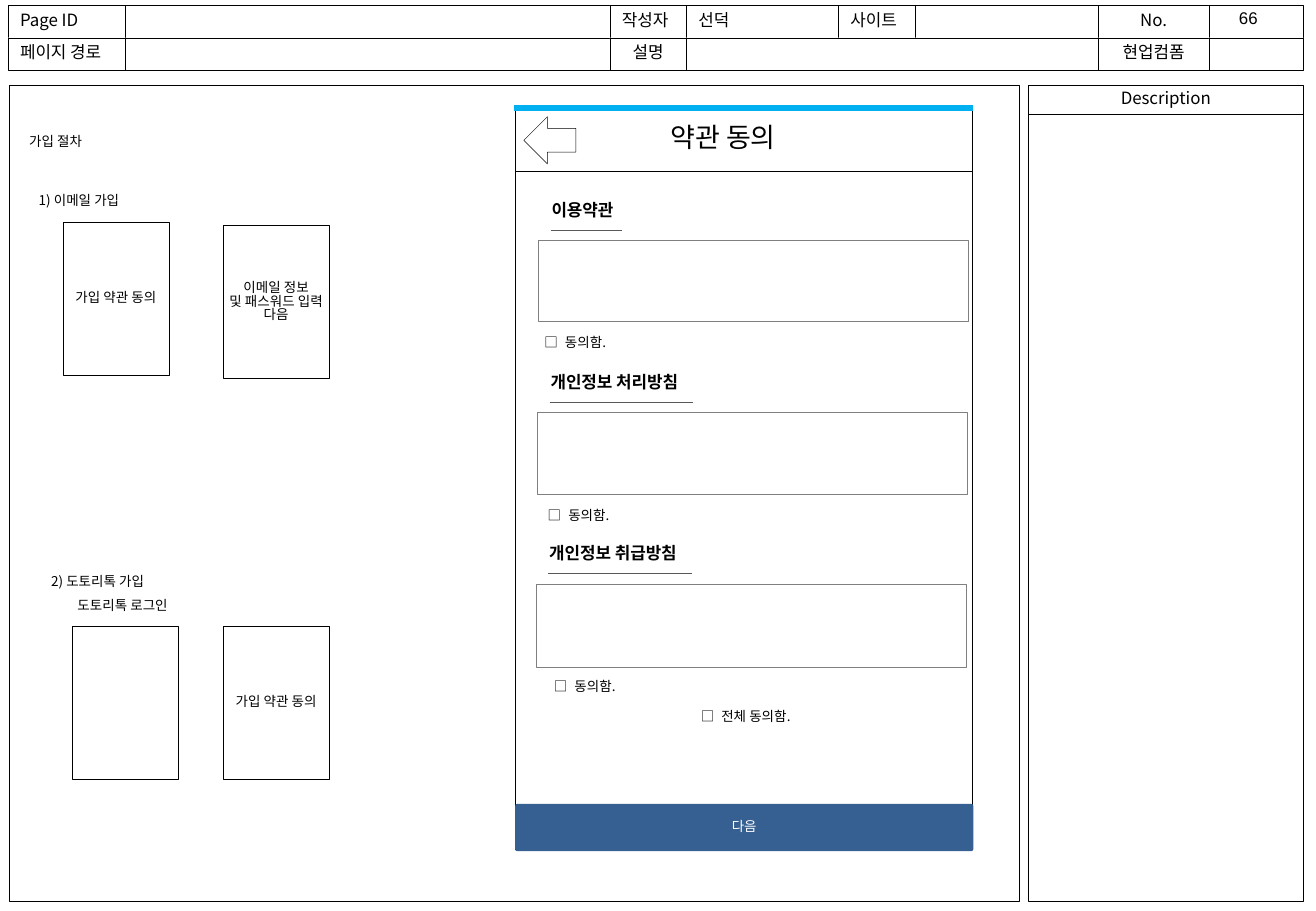
import pptx
import pptx.dml.color
import pptx.enum.shapes
import pptx.enum.text
import pptx.oxml.ns
import pptx.util
from lxml import etree

Cm = pptx.util.Cm
Pt = pptx.util.Pt
RGBColor = pptx.dml.color.RGBColor
Shape = pptx.enum.shapes.MSO_SHAPE
Align = pptx.enum.text.PP_ALIGN
Anchor = pptx.enum.text.MSO_ANCHOR

BLACK = RGBColor(0x00, 0x00, 0x00)
WHITE = RGBColor(0xFF, 0xFF, 0xFF)
GREY = RGBColor(0x80, 0x80, 0x80)
DARK_GREY = RGBColor(0x59, 0x59, 0x59)
SKY = RGBColor(0x00, 0xB0, 0xF0)
NAVY = RGBColor(0x37, 0x60, 0x92)


class Wireframe:
    """Holds the text style and the current page; lengths are centimetres."""

    font_name = "Noto Sans CJK KR"
    line_spacing = 0.82

    def __init__(self, page):
        self.page = page

    def fill_text(self, box, text, align, anchor, color=BLACK, side=0.25,
                  tab=None, name=font_name, **font_values):
        frame = box.text_frame
        frame_values = {
            "word_wrap": True, "vertical_anchor": anchor,
            "margin_left": Cm(side), "margin_right": Cm(side),
            "margin_top": Cm(0.13), "margin_bottom": Cm(0.13),
        }
        for key, value in frame_values.items():
            setattr(frame, key, value)
        for index, line in enumerate(text.split("\n")):
            para = frame.add_paragraph() if index else frame.paragraphs[0]
            para.alignment = align
            para.line_spacing = self.line_spacing
            if tab:
                tabs = etree.SubElement(para._p.get_or_add_pPr(),
                                        pptx.oxml.ns.qn("a:tabLst"))
                etree.SubElement(tabs, pptx.oxml.ns.qn("a:tab"),
                                 pos=str(Cm(tab)), algn="l")
            span = para.add_run()
            span.text = line
            for key, value in {"name": name, **font_values}.items():
                setattr(span.font, key, value)
            span.font.color.rgb = color
            etree.SubElement(span._r.get_or_add_rPr(),
                             pptx.oxml.ns.qn("a:ea"), typeface=name)

    def shape(self, left, top, width, height, text="", kind=Shape.RECTANGLE,
              fill=WHITE, line=BLACK, align=Align.CENTER, size=8, **style):
        box = self.page.shapes.add_shape(
            kind, Cm(left), Cm(top), Cm(width), Cm(height))
        box.shadow.inherit = False
        if fill is None:
            box.fill.background()
        else:
            box.fill.solid()
            box.fill.fore_color.rgb = fill
        if line is None:
            box.line.fill.background()
        else:
            box.line.color.rgb = line
            box.line.width = Pt(0.25)
        if text:
            self.fill_text(box, text, align, Anchor.MIDDLE, size=Pt(size),
                           **style)
        return box

    def label(self, left, top, width, text, height=0.6, size=8, **style):
        box = self.page.shapes.add_textbox(
            Cm(left), Cm(top), Cm(width), Cm(height))
        self.fill_text(box, text, Align.LEFT, Anchor.TOP, size=Pt(size),
                       **style)

    def rule(self, left, right, top, color, width):
        line = self.page.shapes.add_connector(
            pptx.enum.shapes.MSO_CONNECTOR.STRAIGHT,
            Cm(left), Cm(top), Cm(right), Cm(top))
        line.line.color.rgb = color
        line.line.width = Pt(width)
        etree.SubElement(line._element.spPr, pptx.oxml.ns.qn("a:effectLst"))

    def checkbox(self, left, top, text, width=1.93):
        self.label(left, top, width, f"□\t{text}", tab=0.43)


def main():
    deck = pptx.Presentation()
    deck.slide_width, deck.slide_height = Cm(27.51), Cm(19.05)
    wire = Wireframe(deck.slides.add_slide(deck.slide_layouts[6]))

    # Header grid: left edge, text and alignment of each cell
    left, center, right_edge = Align.LEFT, Align.CENTER, 27.25
    header_rows = [
        [(0.17, "Page ID", left), (2.62, "", left), (12.75, "작성자", left),
         (14.35, "선덕", left), (17.53, "사이트", left), (19.13, "", left),
         (22.96, "No.", center), (25.27, "", left)],
        [(0.17, "페이지 경로", left), (2.62, "", left),
         (12.75, "설명", center), (14.35, "", left),
         (22.96, "현업컴폼", center), (25.27, "", left)],
    ]
    for row, cells in enumerate(header_rows):
        edges = [cell[0] for cell in cells[1:]] + [right_edge]
        for (start, text, align), end in zip(cells, edges):
            wire.shape(start, 0.12 + 0.67 * row, end - start, 0.68, text,
                       align=align, size=10)
    wire.label(25.65, 0.11, 0.97, "66", 0.68, size=10, name="Arial")

    # Main and description panels
    wire.shape(21.49, 2.39, 5.76, 16.46)
    wire.shape(21.49, 1.78, 5.76, 0.61, "Description", size=10)
    wire.shape(0.2, 1.78, 21.11, 17.07)

    # Sign-up flow
    wire.label(0.36, 2.72, 6, "가입 절차")
    wire.label(0.56, 3.94, 2.5, "1) 이메일 가입")
    wire.label(0.82, 11.91, 2.77, "2) 도토리톡 가입")
    wire.label(1.37, 12.42, 2.72, "도토리톡 로그인")
    flow_steps = [
        (1.32, 4.65, "가입 약관 동의"),
        (4.67, 4.72, "이메일 정보\n및 패스워드 입력\n다음"),
        (1.52, 13.1, ""),
        (4.67, 13.1, "가입 약관 동의"),
    ]
    for step_left, step_top, text in flow_steps:
        wire.shape(step_left, step_top, 2.21, 3.2, text, side=0.1)

    # Phone screen with title bar
    wire.shape(10.77, 2.24, 9.55, 15.52, fill=None)
    wire.shape(10.77, 2.24, 9.55, 1.35, fill=None)
    wire.rule(10.74, 20.35, 2.26, SKY, 3)
    wire.label(13.77, 2.51, 4.31, "약관 동의", 0.94, size=16)
    wire.shape(10.95, 2.44, 1.09, 0.99, kind=Shape.LEFT_ARROW)
    button = wire.shape(10.77, 16.81, 9.58, 0.99, "다음", side=0.1,
                        kind=Shape.ROUNDED_RECTANGLE, fill=NAVY, line=None,
                        color=WHITE)
    button.adjustments[0] = 0.05

    # Terms: heading left and top, rule length, box height, checkbox left
    terms = [
        ("이용약관", 11.28, 4.11, 1.5, 1.7, 11.13),
        ("개인정보 처리방침", 11.26, 7.72, 3.0, 1.7, 11.2),
        ("개인정보 취급방침", 11.23, 11.3, 3.0, 1.75, 11.33),
    ]
    for heading, start, top, length, height, check_left in terms:
        wire.label(start, top, 4.11, heading, 0.68, size=10, bold=True)
        wire.rule(start + 0.23, start + 0.23 + length, top + 0.7,
                  DARK_GREY, 0.5)
        wire.shape(start - 0.03, top + 0.91, 8.99, height, fill=None,
                   line=GREY)
        wire.checkbox(check_left, top + 2.81, "동의함.")
    wire.checkbox(14.4, 14.73, "전체 동의함.", 2.59)

    deck.save("out.pptx")


if __name__ == "__main__":
    main()
